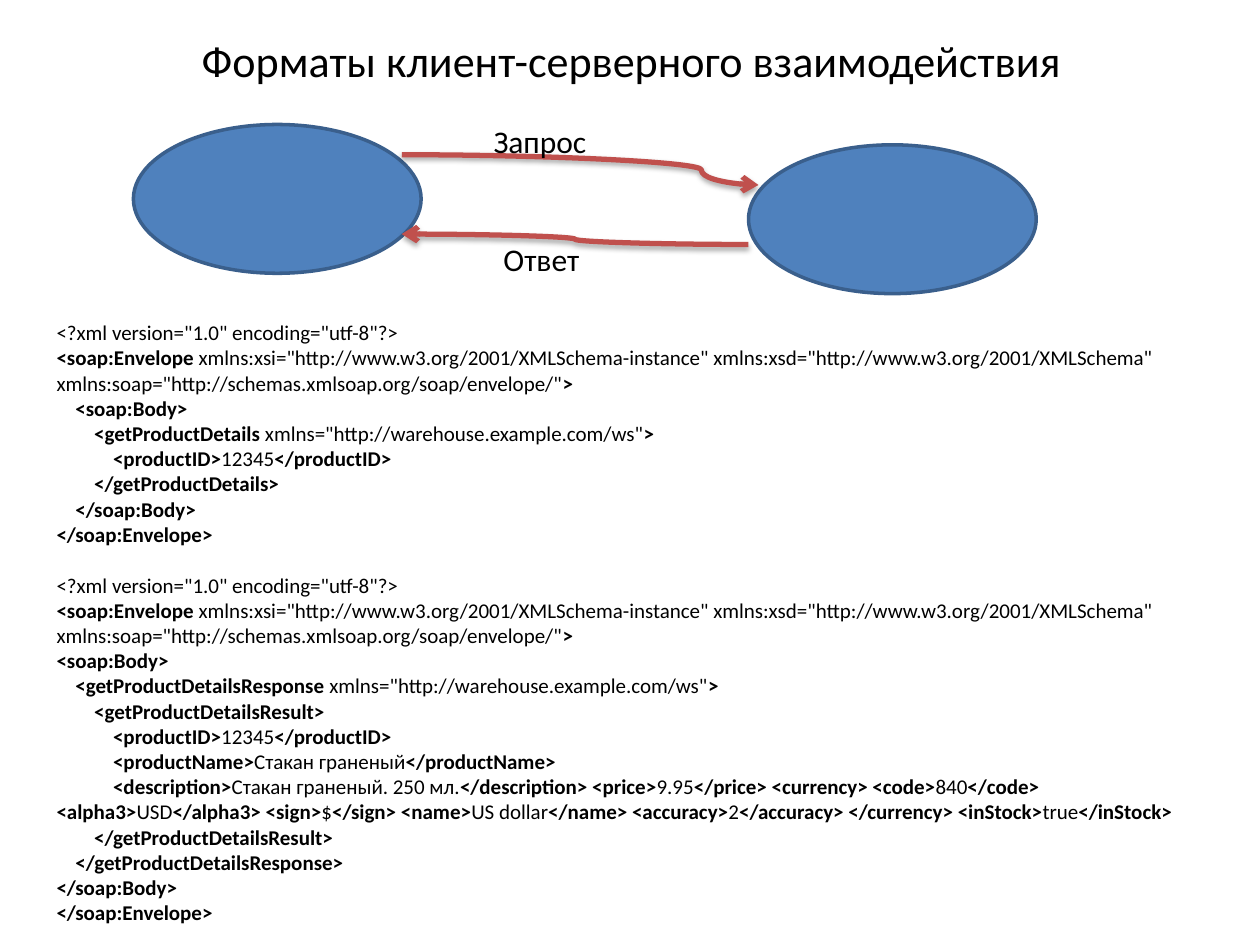
from dataclasses import dataclass

import pptx
import pptx.dml.color
import pptx.enum.shapes
import pptx.enum.text
import pptx.oxml
import pptx.oxml.ns
import pptx.util
from pptx.util import Cm, Pt


@dataclass(frozen=True)
class Theme:
    font: str = "Calibri"
    text: str = "000000"
    node: str = "4F81BD"
    node_line: str = "3A5F8C"
    arrow: str = "C0504D"
    title_size: float = 25.2
    label_size: float = 18
    code_size: float = 12
    code_line: float = 14.65
    indent: float = 0.38  # cm per nesting level


SHADOW = (
    f'<a:effectLst {pptx.oxml.ns.nsdecls("a")}>'
    '<a:outerShdw blurRad="39370" dist="22860" dir="5400000" rotWithShape="0">'
    '<a:srgbClr val="000000"><a:alpha val="35000"/></a:srgbClr>'
    "</a:outerShdw></a:effectLst>"
)
TAIL = f'<a:tailEnd {pptx.oxml.ns.nsdecls("a")} type="arrow"/>'

# Each line is (nesting level, text); "|" switches between bold and regular,
# starting with bold.
HEADER = [
    (0, '|<?xml version="1.0" encoding="utf-8"?>'),
    (0, '<soap:Envelope |xmlns:xsi="http://www.w3.org/2001/XMLSchema-instance" '
        'xmlns:xsd="http://www.w3.org/2001/XMLSchema" '
        'xmlns:soap="http://schemas.xmlsoap.org/soap/envelope/"|>'),
]
NAMESPACE = '|xmlns="http://warehouse.example.com/ws"|>'
PRODUCT_ID = (3, "<productID>|12345|</productID>")
END = (0, "</soap:Envelope>")

REQUEST = HEADER + [
    (1, "<soap:Body>"),
    (2, "<getProductDetails " + NAMESPACE),
    PRODUCT_ID,
    (2, "</getProductDetails>"),
    (1, "</soap:Body>"),
    END,
]
RESPONSE = HEADER + [
    (0, "<soap:Body>"),
    (1, "<getProductDetailsResponse " + NAMESPACE),
    (2, "<getProductDetailsResult>"),
    PRODUCT_ID,
    (3, "<productName>|Стакан граненый|</productName>"),
    (3, "<description>|Стакан граненый. 250 мл.|</description> <price>|9.95|"
        "</price> <currency> <code>|840|</code> <alpha3>|USD|</alpha3> <sign>|$|"
        "</sign> <name>|US dollar|</name> <accuracy>|2|"
        "</accuracy> </currency> <inStock>|true|</inStock>"),
    (2, "</getProductDetailsResult>"),
    (1, "</getProductDetailsResponse>"),
    (0, "</soap:Body>"),
    END,
]


def rgb(value):
    return pptx.dml.color.RGBColor.from_string(value)


class SlideBuilder:
    """Draws elements on one slide; all lengths are in centimetres."""

    def __init__(self, s, theme):
        self.s = s
        self.theme = theme

    def style(self, p, size):
        p.font.name = self.theme.font
        p.font.size = Pt(size)
        p.font.color.rgb = rgb(self.theme.text)

    def frame(self, x, y, w, h):
        tf = self.s.shapes.add_textbox(Cm(x), Cm(y), Cm(w), Cm(h)).text_frame
        tf.word_wrap = True
        return tf

    def title(self, text, x, y, w, h):
        tf = self.frame(x, y, w, h)
        tf.vertical_anchor = pptx.enum.text.MSO_ANCHOR.MIDDLE
        p = tf.paragraphs[0]
        p.text = text
        p.alignment = pptx.enum.text.PP_ALIGN.CENTER
        self.style(p, self.theme.title_size)

    def label(self, text, x, y, w=3.6, h=1.02):
        p = self.frame(x, y, w, h).paragraphs[0]
        p.text = text
        self.style(p, self.theme.label_size)

    def code(self, messages, x, y, w, h):
        """Write XML messages one below another, with a line's gap between."""
        tf = self.frame(x, y, w, h)
        p = tf.paragraphs[0]
        for m, message in enumerate(messages):
            for n, (level, text) in enumerate(message):
                if m or n:
                    p = tf.add_paragraph()
                if m and not n:
                    p.space_before = Pt(self.theme.code_line)
                self.style(p, self.theme.code_size)
                pPr = p._p.get_or_add_pPr()
                pPr.set("marL", "0")
                pPr.set("indent", str(Cm(level * self.theme.indent)))
                for i, part in enumerate(text.split("|")):
                    if part:
                        r = p.add_run()
                        r.text = part
                        r.font.bold = i % 2 == 0

    def node(self, x, y, w=5.8, h=3):
        sp = self.s.shapes.add_shape(
            pptx.enum.shapes.MSO_SHAPE.OVAL, Cm(x), Cm(y), Cm(w), Cm(h))
        sp.shadow.inherit = False
        sp.fill.solid()
        sp.fill.fore_color.rgb = rgb(self.theme.node)
        sp.line.color.rgb = rgb(self.theme.node_line)
        sp.line.width = Pt(2)

    def arrow(self, start, end, bend=0.5):
        """Curved arrow that bends at the given share of its width."""
        sp = self.s.shapes.add_connector(
            pptx.enum.shapes.MSO_CONNECTOR.CURVE,
            *(Cm(v) for v in (*start, *end)))
        sp.line.color.rgb = rgb(self.theme.arrow)
        sp.line.width = Pt(3)
        spPr = sp._element.spPr
        spPr.find(pptx.oxml.ns.qn("a:ln")).append(pptx.oxml.parse_xml(TAIL))
        spPr.append(pptx.oxml.parse_xml(SHADOW))
        guide = pptx.oxml.parse_xml(
            f'<a:gd {pptx.oxml.ns.nsdecls("a")} name="adj1" '
            f'fmla="val {round(bend * 100000)}"/>')
        spPr.find(".//" + pptx.oxml.ns.qn("a:avLst")).append(guide)


def main():
    prs = pptx.Presentation()
    prs.slide_width, prs.slide_height = Cm(25.4), Cm(19.05)
    slide = SlideBuilder(prs.slides.add_slide(prs.slide_layouts[6]), Theme())

    slide.title("Форматы клиент-серверного взаимодействия", 1.3, 0.53, 22.86, 1.37)
    slide.code([REQUEST, RESPONSE], 0.89, 6.32, 23.39, 12.57)
    slide.node(2.69, 2.51)
    slide.node(15.09, 2.92)
    slide.arrow((8.1, 3.12), (15.29, 3.73), bend=0.84)
    slide.arrow((15.09, 4.93), (8.1, 4.72))
    slide.label("Запрос", 9.7, 2.34)
    slide.label("Ответ", 9.9, 4.72)

    prs.save("out.pptx")


if __name__ == "__main__":
    main()
